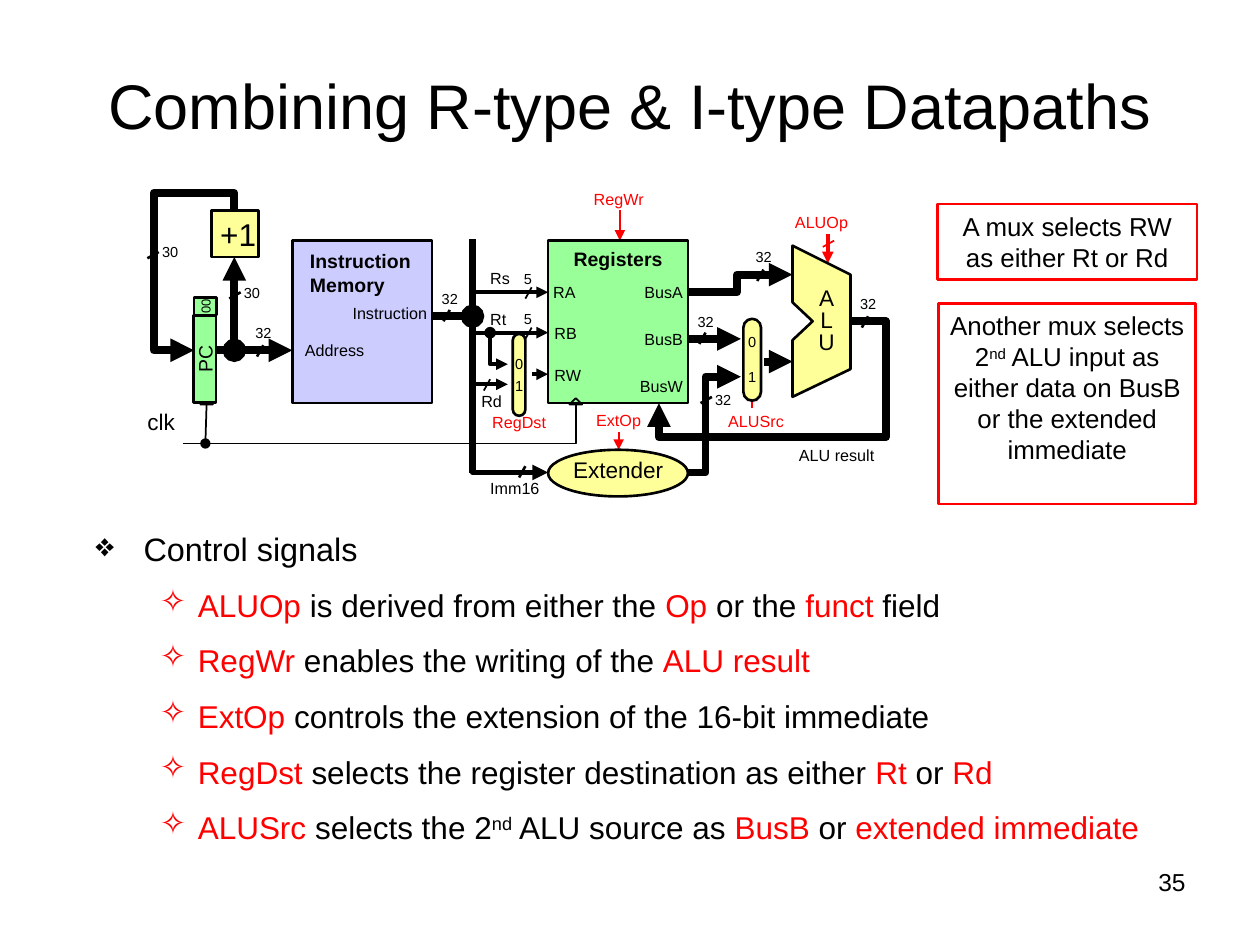
from dataclasses import dataclass
from typing import Optional

from lxml import etree
from pptx import Presentation
from pptx import util as u
from pptx.dml.color import RGBColor
from pptx.enum import shapes, text
from pptx.oxml.ns import qn

PX = 9144
BLACK = RGBColor(0, 0, 0)
RED = RGBColor(255, 0, 0)
YELLOW = RGBColor(255, 255, 153)
GREEN = RGBColor(153, 255, 153)
LILAC = RGBColor(204, 204, 255)
LEFT, CENTER, RIGHT = text.PP_ALIGN.LEFT, text.PP_ALIGN.CENTER, text.PP_ALIGN.RIGHT
TOP, MIDDLE = text.MSO_ANCHOR.TOP, text.MSO_ANCHOR.MIDDLE
RECT = shapes.MSO_SHAPE.RECTANGLE
OVAL = shapes.MSO_SHAPE.OVAL
PILL = shapes.MSO_SHAPE.ROUNDED_RECTANGLE
TRIANGLE = shapes.MSO_SHAPE.ISOSCELES_TRIANGLE


@dataclass
class Wire:
    points: list[tuple[int, int]]
    weight: float = 4.5
    color: RGBColor = BLACK
    head: str = "none"
    tail: str = "triangle"


@dataclass
class Block:
    box: tuple[int, int, int, int]
    fill: Optional[RGBColor] = None
    kind: shapes.MSO_SHAPE = RECT
    line: RGBColor = BLACK
    weight: float = 1.5
    rotation: int = 0


@dataclass
class Label:
    words: str
    box: tuple[int, int, int, int]
    size: float = 9.2
    align: text.PP_ALIGN = LEFT
    color: RGBColor = BLACK
    bold: bool = False
    spacing: float = 1.0


def write(frame, words: str, *, size: float, color=BLACK, align=LEFT, anchor=MIDDLE,
          bold=False, spacing=1.0, margins=(0, 0, 0, 0)):
    frame.word_wrap = True
    frame.vertical_anchor = anchor
    frame.margin_left, frame.margin_top, frame.margin_right, frame.margin_bottom = (
        m * PX for m in margins)
    for index, line in enumerate(words.split("\n")):
        paragraph = frame.paragraphs[0] if index == 0 else frame.add_paragraph()
        paragraph.alignment = align
        paragraph.line_spacing = spacing
        for i, part in enumerate(line.split("*")):
            for j, piece in enumerate(part.split("^")):
                if not piece:
                    continue
                run = paragraph.add_run()
                run.text = piece
                run.font.name = "Arial"
                run.font.size = u.Pt(size)
                run.font.bold = bold
                run.font.color.rgb = RED if i % 2 else color
                if j % 2:
                    run._r.get_or_add_rPr().set("baseline", "30000")


def draw_label(slide, label: Label, anchor=MIDDLE, margins=(0, 0, 0, 0)):
    box = slide.shapes.add_textbox(*(v * PX for v in label.box))
    write(box.text_frame, label.words, size=label.size, color=label.color, align=label.align,
          anchor=anchor, bold=label.bold, spacing=label.spacing, margins=margins)
    return box.text_frame


def draw_block(slide, block: Block):
    shape = slide.shapes.add_shape(block.kind, *(v * PX for v in block.box))
    if block.kind == PILL:
        shape.adjustments[0] = 0.5
    shape.rotation = block.rotation
    finish(shape, block.fill, block.line, block.weight)
    return shape.text_frame


def finish(shape, fill: Optional[RGBColor], color: RGBColor, weight: float):
    shape.shadow.inherit = False
    if fill is None:
        shape.fill.background()
    else:
        shape.fill.solid()
        shape.fill.fore_color.rgb = fill
    shape.line.color.rgb = color
    shape.line.width = u.Pt(weight)


def outline(slide, points: list[tuple[int, int]], closed: bool):
    builder = slide.shapes.build_freeform(*points[0], scale=PX)
    builder.add_line_segments(points[1:], close=closed)
    return builder.convert_to_shape()


def draw_wire(slide, wire: Wire):
    if len(wire.points) == 2:
        (x1, y1), (x2, y2) = wire.points
        shape = slide.shapes.add_connector(
            shapes.MSO_CONNECTOR.STRAIGHT, x1 * PX, y1 * PX, x2 * PX, y2 * PX)
        shape.line.color.rgb = wire.color
        shape.line.width = u.Pt(wire.weight)
        etree.SubElement(shape._element.spPr, qn("a:effectLst"))
    else:
        shape = outline(slide, wire.points, False)
        finish(shape, None, wire.color, wire.weight)
    ln = shape.line._get_or_add_ln()
    for end, style in (("a:headEnd", wire.head), ("a:tailEnd", wire.tail)):
        etree.SubElement(ln, qn(end), type=style)


def add_bullet(paragraph, mark: str, indent: int, hang: int):
    properties = paragraph._p.get_or_add_pPr()
    properties.set("marL", str(indent * PX))
    properties.set("indent", str(-hang * PX))
    etree.SubElement(properties, qn("a:buChar"), char=mark)


WIRES = [
    Wire([(588, 299), (560, 299), (560, 375), (546, 375)], head="triangle", tail="none"),
    Wire([(671, 255), (703, 255), (703, 347), (523, 347), (523, 320)]),
    Wire([(375, 361), (375, 375), (435, 375)], 3),
    Wire([(546, 232), (585, 232), (585, 218), (629, 218)]),
    Wire([(546, 269), (588, 269)]),
    Wire([(375, 232), (435, 232)], 2.25),
    Wire([(375, 264), (435, 264)], 2.25),
    Wire([(422, 297), (435, 297)], 2.25),
    Wire([(375, 305), (403, 305)], 2.25),
    Wire([(389, 264), (389, 289), (403, 289)], 2.25, head="oval"),
    Wire([(172, 278), (232, 278)]),
    Wire([(343, 251), (375, 251)], tail="oval"),
    Wire([(186, 278), (186, 204)], head="oval"),
    Wire([(186, 167), (186, 153), (122, 153), (122, 278), (154, 278)]),
    Wire([(375, 190), (375, 375)], tail="none"),
    Wire([(606, 287), (629, 287)]),
    Wire([(457, 320), (457, 352), (145, 352)], 1, tail="none"),
    Wire([(164, 320), (163, 352)], 1, tail="oval"),
    Wire([(657, 186), (657, 209)], 2.25, RED),
    Wire([(492, 167), (492, 191)], 1, RED),
    Wire([(491, 343), (491, 357)], 1, RED),
    Wire([(597, 324), (597, 310)], 1, RED),
]
STEEP, FLAT = (-5, 9), (-9, 5)
TICKS = [
    (STEEP, 1.5, BLACK, [(606, 214), (689, 251), (560, 264), (357, 246), (209, 274), (417, 370)]),
    (STEEP, 1, BLACK, [(422, 228), (422, 260), (389, 301)]),
    (FLAT, 1.5, BLACK, [(126, 200), (191, 232), (565, 315)]),
    (FLAT, 1, RED, [(662, 191)]),
]
ALU = [(629, 315), (675, 293), (675, 218), (629, 195), (629, 240), (645, 255), (629, 270)]
BLOCKS = [
    Block((435, 191, 111, 129), GREEN),
    Block((232, 191, 111, 129), LILAC),
    Block((435, 357, 111, 37), YELLOW, OVAL),
    Block((590, 253, 14, 65), YELLOW, PILL),
    Block((407, 265, 10, 65), YELLOW, PILL),
    Block((159, 316, 10, 5), None, TRIANGLE, weight=1),
    Block((452, 316, 10, 5), None, TRIANGLE, weight=1),
]
LABELS = [
    Label("Combining R-type & I-type Datapaths", (50, 20, 900, 125), 36, CENTER),
    Label("ALUOp", (615, 167, 74, 18), align=CENTER, color=RED),
    Label("RegWr", (459, 149, 64, 18), align=CENTER, color=RED),
    Label("ExtOp", (468, 324, 46, 18), align=CENTER, color=RED),
    Label("RegDst", (389, 326, 46, 18), align=CENTER, color=RED),
    Label("ALUSrc", (574, 324, 52, 21), align=CENTER, color=RED),
    Label("A\nL\nU", (637, 218, 38, 75), 12.9, CENTER, spacing=0.8),
    Label("Extender", (435, 361, 111, 28), 12.9, CENTER, spacing=0.8),
    Label("ALU result", (634, 352, 69, 18)),
    Label("RA", (439, 223, 42, 18)),
    Label("RB", (440, 250, 42, 28)),
    Label("RW", (440, 288, 42, 19)),
    Label("BusA", (500, 223, 42, 18), align=RIGHT),
    Label("BusB", (500, 260, 42, 18), align=RIGHT),
    Label("BusW", (500, 297, 42, 18), align=RIGHT),
    Label("Address", (242, 264, 69, 28)),
    Label("Instruction", (251, 237, 88, 23), align=RIGHT),
    Label("Instruction\nMemory", (246, 191, 88, 51), 11.1, bold=True),
    Label("Rs", (389, 214, 18, 14)),
    Label("Rt", (389, 246, 18, 14)),
    Label("Rd", (382, 311, 18, 14)),
    Label("Imm16", (389, 380, 46, 14)),
    Label("clk", (117, 325, 28, 19), 12.9),
]
SMALL_NUMBERS = {
    "32": [(597, 195), (680, 232), (551, 246), (348, 228), (200, 255), (565, 308)],
    "30": [(126, 191), (191, 223)],
    "5": [(410, 212), (410, 244)],
    "0": [(588, 262), (403, 280)],
    "1": [(588, 290), (403, 297)],
}
NOTES = [
    ((744, 162, 206, 60), "A mux selects RW as either Rt or Rd"),
    ((745, 241, 204, 159), "Another mux selects 2^nd^ ALU input as either data on BusB or the "
                           "extended immediate"),
]
SIGNALS = [
    "Control signals",
    "*ALUOp *is derived from either the *Op* or the *funct* field",
    "*RegWr *enables the writing of the *ALU result*",
    "*ExtOp *controls the extension of the 16-bit immediate",
    "*RegDst* selects the register destination as either *Rt* or *Rd*",
    "*ALUSrc *selects the 2^nd^ ALU source as *BusB* or *extended immediate*",
]
INSETS = (9, 5, 9, 5)


def main():
    deck = Presentation()
    deck.slide_width, deck.slide_height = 1000 * PX, 750 * PX
    slide = deck.slides.add_slide(deck.slide_layouts[6])

    for wire in WIRES:
        draw_wire(slide, wire)
    finish(outline(slide, ALU, True), YELLOW, BLACK, 1.5)
    registers = [draw_block(slide, block) for block in BLOCKS][0]
    write(registers, "Registers", size=11.1, bold=True, align=CENTER, anchor=TOP,
          margins=(1, 5, 1, 5))
    counter = draw_block(slide, Block((128, 276, 69, 18), GREEN, rotation=270))
    write(counter, "PC", size=11.1, align=CENTER)
    low_bits = draw_block(slide, Block((156, 234, 14, 18), GREEN, rotation=270))
    write(low_bits, "00", size=7.4, align=CENTER)
    increment = draw_block(slide, Block((168, 167, 37, 37), YELLOW))
    write(increment, "+1", size=18, align=CENTER, margins=(5, 0, 0, 0))
    for (dx, dy), weight, color, starts in TICKS:
        for x, y in starts:
            draw_wire(slide, Wire([(x, y), (x + dx, y + dy)], weight, color, tail="none"))

    for label in LABELS:
        draw_label(slide, label)
    for digits, places in SMALL_NUMBERS.items():
        for x, y in places:
            draw_label(slide, Label(digits, (x, y, 18, 18), 8.3, CENTER))
    for box, words in NOTES:
        write(draw_block(slide, Block(box, line=RED)), words, size=14.8, align=CENTER,
              anchor=TOP, margins=INSETS)

    signals = draw_label(slide, Label("\n".join(SIGNALS), (67, 412, 860, 258), 18, spacing=1.1),
                         TOP, INSETS)
    heading, *details = signals.paragraphs
    add_bullet(heading, "❖", 38, 38)
    heading.runs[0].font.size = u.Pt(18.5)
    for detail in details:
        detail.level = 1
        detail.space_before = u.Pt(8)
        add_bullet(detail, "✧", 81, 30)
    draw_label(slide, Label("35", (717, 683, 233, 52), 14, RIGHT), TOP, INSETS)
    deck.save("out.pptx")


if __name__ == "__main__":
    main()
